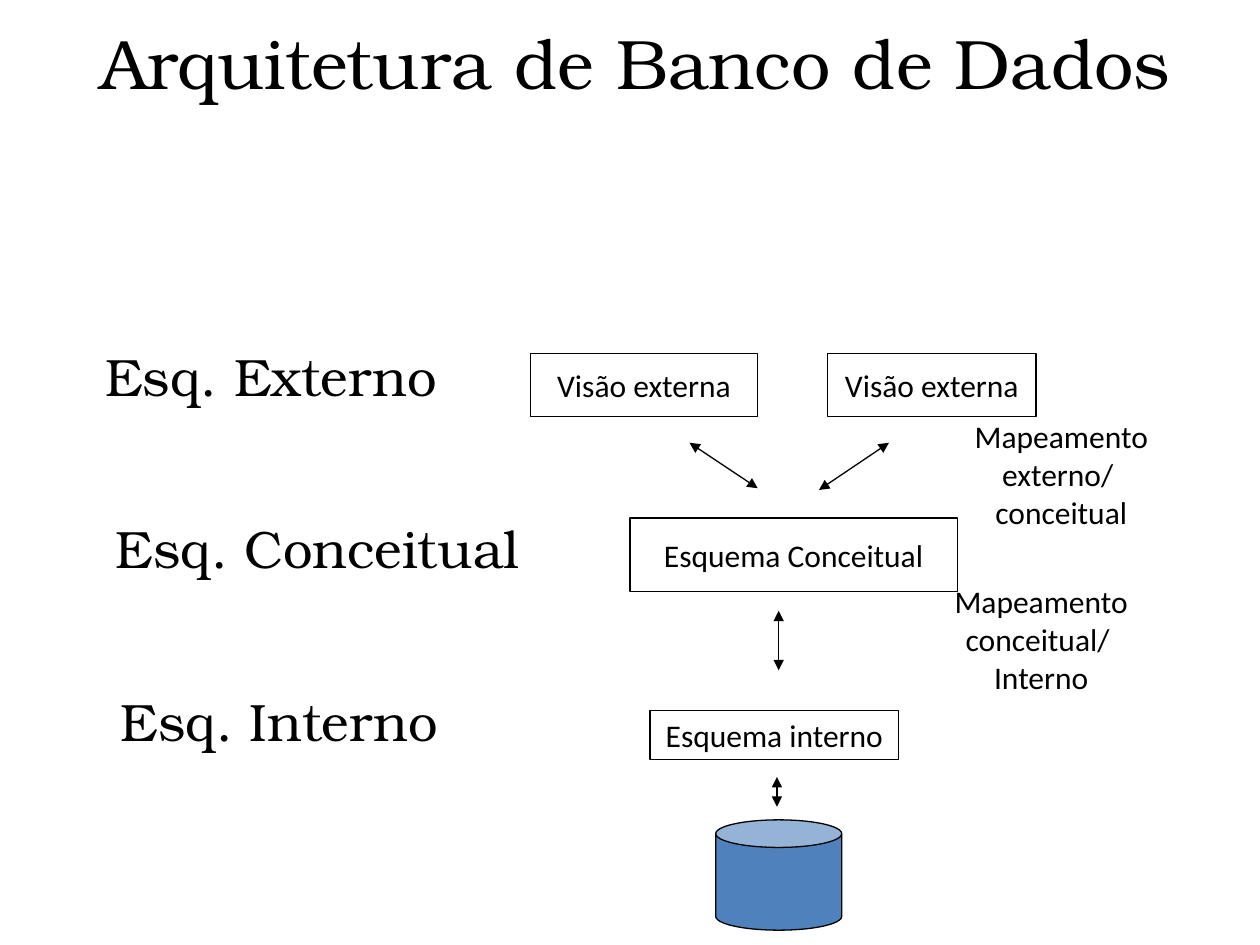
from lxml.etree import SubElement
from pptx import Presentation
from pptx.dml.color import RGBColor
from pptx.enum.shapes import MSO_CONNECTOR, MSO_SHAPE
from pptx.enum.text import MSO_ANCHOR, MSO_AUTO_SIZE, PP_ALIGN
from pptx.oxml.ns import qn
from pptx.util import Pt

COLORS = {"ink": "000000", "disk": "4F81BD"}
SERIF = "TeX Gyre Bonum"
SANS = "Calibri"


def tint(name):
    return RGBColor.from_string(COLORS[name])


def style(item, values):
    for name, value in values.items():
        setattr(item, name, value)


def write(shape, lines, font, size, align, frame):
    text = shape.text_frame
    text.text = "\n".join(lines)
    style(text, frame)
    for para in text.paragraphs:
        para.alignment = align
        face = para.runs[0].font
        style(face, {"name": font, "size": Pt(size)})
        face.color.rgb = tint("ink")


def border(line):
    line.color.rgb = tint("ink")
    line.width = Pt(0.75)


def draw(slide, kind, box, fill=None):
    shape = slide.shapes.add_shape(kind, *map(Pt, box))
    shape.shadow.inherit = False
    border(shape.line)
    if fill:
        shape.fill.solid()
        shape.fill.fore_color.rgb = tint(fill)
    else:
        shape.fill.background()
    return shape


def arrow(slide, start, end):
    link = slide.shapes.add_connector(
        MSO_CONNECTOR.STRAIGHT, *map(Pt, start + end))
    border(link.line)
    line = link.line._get_or_add_ln()
    for tag in ("a:headEnd", "a:tailEnd"):
        SubElement(line, qn(tag), type="triangle")
    SubElement(link._element.spPr, qn("a:effectLst"))


def title(slide, box):
    shape = slide.shapes.add_textbox(*map(Pt, box))
    write(shape, ["Arquitetura de Banco de Dados"], SERIF, 40, PP_ALIGN.CENTER, {
        "word_wrap": True, "vertical_anchor": MSO_ANCHOR.MIDDLE,
        "margin_top": Pt(0), "margin_bottom": Pt(48)})


def levels(slide, box):
    left, top, width, height = box
    rows = [("Esq. Externo", 0, 205), ("Esq. Conceitual", 6, 248),
            ("Esq. Interno", 9, 197)]
    step = (height - 44) / (len(rows) - 1)
    for i, (label, dent, wide) in enumerate(rows):
        shape = slide.shapes.add_textbox(
            Pt(left + dent), Pt(top + i * step), Pt(wide), Pt(44))
        write(shape, [label], SERIF, 30, PP_ALIGN.LEFT, {
            "word_wrap": False, "auto_size": MSO_AUTO_SIZE.SHAPE_TO_FIT_TEXT})


def diagram(slide, box):
    left, top, width, height = box
    frame = {"word_wrap": False, "vertical_anchor": MSO_ANCHOR.MIDDLE}
    nodes = [("Visão externa", 0, 0, 130, 36),
             ("Visão externa", 170, 0, 119, 36),
             ("Esquema Conceitual", 57, 94, 187, 42),
             ("Esquema interno", 68.5, 204, 142, 28)]
    for label, x, y, wide, high in nodes:
        shape = draw(slide, MSO_SHAPE.RECTANGLE,
                     (left + x, top + y, wide, high))
        write(shape, [label], SANS, 18, PP_ALIGN.CENTER, frame)
    links = [(91, 51, 130, 77), (165, 78, 205, 51),
             (142, 147, 142, 181), (141, 242, 141, 259)]
    for x, y, right, low in links:
        arrow(slide, (left + x, top + y), (left + right, top + low))
    disk = draw(slide, MSO_SHAPE.CAN,
                (left + 106, top + height - 63, 72, 63), "disk")
    disk.adjustments[0] = 0.25
    notes = [(("Mapeamento externo/ ", "conceitual"), 238.5, 51),
             (("Mapeamento conceitual/ ", "Interno"), 227, 145)]
    for lines, x, y in notes:
        shape = slide.shapes.add_textbox(
            Pt(left + x), Pt(top + y), Pt(130), Pt(36))
        write(shape, lines, SANS, 18, PP_ALIGN.CENTER, frame)


def main():
    deck = Presentation()
    style(deck, {"slide_width": Pt(720), "slide_height": Pt(540)})
    slide = deck.slides.add_slide(deck.slide_layouts[6])
    title(slide, (21, 19.5, 684, 79))
    levels(slide, (53, 193, 254, 241))
    diagram(slide, (303, 202, 369, 329.5))
    deck.save("out.pptx")


if __name__ == "__main__":
    main()
